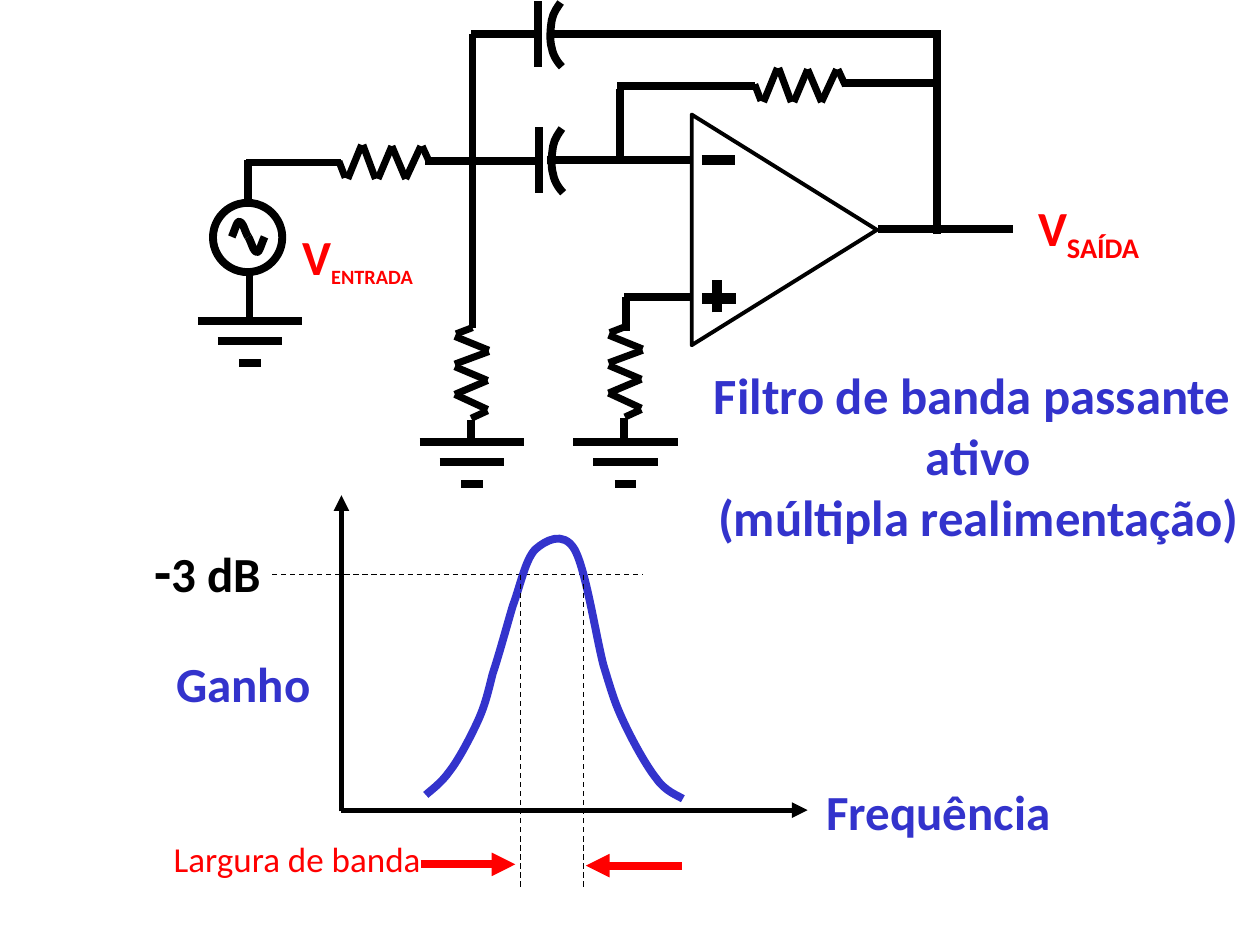
import dataclasses

import lxml.etree
import pptx
import pptx.dml.color
import pptx.enum.dml
import pptx.enum.shapes
import pptx.enum.text
import pptx.oxml.ns
import pptx.util

PX = 9144
qn = pptx.oxml.ns.qn


@dataclasses.dataclass(frozen=True)
class Theme:
    font: str = "Calibri"
    black: str = "000000"
    blue: str = "3333CC"
    red: str = "FF0000"
    sign: int = 32
    title: int = 29
    label: int = 28
    small: int = 20
    wire: float = 4.5
    zigzag: float = 4
    polarity: float = 6
    outline: float = 2.25
    axis: float = 3
    guide: float = 0.75


T = Theme()
ZIGZAG = [((0, 0), (5, 13)), ((7, 14), (18, -13)), ((19, -13), (29, 14)),
          ((31, 14), (42, -12)), ((42, -12), (53, 14)),
          ((53, 14), (65, -12)), ((66, -12), (72, 1))]
PLATE = [(19, 52), (17, 50), (12, 44), (11, 37), (9, 31), (10, 21), (11, 15),
         (12, 9), (16, 4), (18, 1)]
SINE = [(0, 0), (-1, -1), (-3, -7), (-4, -9), (-5, -11), (-6, -12), (-7, -12),
        (-8, -12), (-8, -12), (-9, -10), (-10, -8), (-12, -2), (-13, 0)]
RESPONSE = [(338, 631), (341, 628), (350, 622), (357, 612), (364, 603),
            (373, 586), (379, 573), (385, 560), (387, 551), (391, 535),
            (396, 520), (402, 498), (407, 481), (413, 465), (417, 444),
            (425, 436), (433, 429), (447, 421), (456, 436), (465, 452),
            (473, 505), (479, 528), (486, 551), (488, 558), (495, 573),
            (502, 588), (513, 608), (521, 618), (528, 628), (537, 631),
            (542, 634)]


class Sketch:
    def __init__(self, s, theme):
        self.s = s
        self.theme = theme

    def rgb(self, color):
        return pptx.dml.color.RGBColor.from_string(color)

    def stroke(self, sp, color, width):
        sp.line.color.rgb = self.rgb(color)
        sp.line.width = pptx.util.Pt(width)

    def outline(self, sp, color, width):
        sp.shadow.inherit = False
        sp.fill.background()
        self.stroke(sp, color, width)

    def line(self, x1, y1, x2, y2, width=T.wire, color=T.black, dash=False, arrow=False):
        sp = self.s.shapes.add_connector(
            pptx.enum.shapes.MSO_CONNECTOR.STRAIGHT, x1 * PX, y1 * PX, x2 * PX, y2 * PX)
        self.stroke(sp, color, width)
        if dash:
            sp.line.dash_style = pptx.enum.dml.MSO_LINE.DASH
        spPr = sp._element.spPr
        if arrow:
            lxml.etree.SubElement(spPr.find(qn("a:ln")), qn("a:tailEnd"), type="triangle")
        lxml.etree.SubElement(spPr, qn("a:effectLst"))

    def curve(self, points, color=T.black):
        fb = self.s.shapes.build_freeform(*points[0], scale=PX)
        fb.add_line_segments(points[1:], close=False)
        sp = fb.convert_to_shape()
        self.outline(sp, color, self.theme.wire)
        geometry = next(sp._element.iter(qn("a:path")))
        segments = geometry.findall(qn("a:lnTo"))
        for i in range(0, len(segments), 3):
            bezier = lxml.etree.SubElement(geometry, qn("a:cubicBezTo"))
            for segment in segments[i:i + 3]:
                bezier.append(segment[0])
                geometry.remove(segment)

    def shape(self, kind, x, y, w, h, width, rotation=0):
        sp = self.s.shapes.add_shape(kind, x * PX, y * PX, w * PX, h * PX)
        sp.rotation = rotation
        self.outline(sp, self.theme.black, width)

    def resistor(self, x, y, vertical=False):
        for ends in ZIGZAG:
            (x1, y1), (x2, y2) = [(-b, a) if vertical else (a, b) for a, b in ends]
            self.line(x + x1, y + y1, x + x2, y + y2, self.theme.zigzag)

    def capacitor(self, x, y):
        self.line(x, y + 52, x, y)
        self.curve([(x + dx, y + dy) for dx, dy in PLATE])

    def ground(self, x, y):
        for inset, drop in ((0, 0), (16, 16), (33, 33)):
            self.line(x + inset, y + drop, x + 83 - inset, y + drop)

    def source(self, x, y):
        self.shape(pptx.enum.shapes.MSO_SHAPE.OVAL, x - 28, y - 27, 55, 55, self.theme.wire)
        for sign in (1, -1):
            self.curve([(x + sign * dx, y + sign * dy) for dx, dy in SINE])

    def text(self, x, y, w, h, paragraphs, color, bold=True, center=False):
        tf = self.s.shapes.add_textbox(x * PX, y * PX, w * PX, h * PX).text_frame
        tf.word_wrap = False
        tf.auto_size = pptx.enum.text.MSO_AUTO_SIZE.SHAPE_TO_FIT_TEXT
        for i, runs in enumerate(paragraphs):
            p = tf.add_paragraph() if i else tf.paragraphs[0]
            if center:
                p.alignment = pptx.enum.text.PP_ALIGN.CENTER
            for words, size, *baseline in runs:
                r = p.add_run()
                r.text = words
                r.font.name = self.theme.font
                r.font.size = pptx.util.Pt(size)
                r.font.bold = bold
                r.font.color.rgb = self.rgb(color)
                if baseline:
                    r._r.get_or_add_rPr().set("baseline", str(baseline[0]))


def draw_circuit(k):
    k.shape(pptx.enum.shapes.MSO_SHAPE.ISOSCELES_TRIANGLE, 531, 109, 183, 147, T.outline, 90)
    for ends in ((557, 127, 583, 127), (557, 237, 584, 237), (569, 248, 569, 222)):
        k.line(*ends, T.polarity)
    wires = [
        (697, 182, 804, 182), (549, 236, 495, 236), (549, 127, 434, 127),
        (492, 128, 492, 71), (669, 66, 747, 66), (744, 26, 744, 186),
        (490, 68, 599, 68), (495, 351, 495, 332), (197, 127, 197, 159),
        (198, 253, 198, 216), (497, 263, 497, 236), (271, 129, 195, 129),
        (436, 27, 747, 27), (425, 128, 337, 128), (375, 260, 375, 27),
        (426, 27, 374, 27), (374, 333, 374, 354)]
    for ends in wires:
        k.line(*ends)
    k.resistor(599, 67)
    k.resistor(269, 128)
    k.resistor(497, 259, vertical=True)
    k.resistor(375, 260, vertical=True)
    k.capacitor(428, 101)
    k.capacitor(427, 1)
    k.source(197, 188)
    for x, y in ((157, 255), (455, 351), (333, 351)):
        k.ground(x, y)
    k.text(230, 175, 108, 59, [[("V", T.label), ("ENTRADA", T.small, -25000)]], T.red)
    k.text(814, 152, 101, 63, [[("V", T.label), ("SAÍDA", T.label, -25000)]], T.red)
    title = ["Filtro de banda passante ", "ativo", "(múltipla realimentação)"]
    k.text(556, 284, 441, 155, [[(words, T.title)] for words in title], T.blue, center=True)


def draw_response(k):
    k.line(271, 644, 271, 393, T.axis, arrow=True)
    k.line(271, 643, 641, 643, T.axis, arrow=True)
    k.line(216, 456, 510, 456, T.guide, dash=True)
    k.text(646, 615, 198, 57, [[("Frequência", T.label)]], T.blue)
    k.text(130, 514, 129, 57, [[("Ganho", T.label)]], T.blue)
    k.text(113, 421, 107, 64, [[("-", T.sign), ("3 dB", T.label)]], T.black)
    k.curve(RESPONSE, T.blue)
    for x in (413, 463):
        k.line(x, 456, x, 705, T.guide, dash=True)
    k.text(128, 660, 217, 44, [[("Largura de banda", T.small)]], T.red, bold=False)
    k.line(334, 686, 409, 686, color=T.red, arrow=True)
    k.line(541, 687, 465, 687, color=T.red, arrow=True)


def main():
    prs = pptx.Presentation()
    prs.slide_width, prs.slide_height = 1000 * PX, 750 * PX
    k = Sketch(prs.slides.add_slide(prs.slide_layouts[6]), T)
    draw_circuit(k)
    draw_response(k)
    prs.save("out.pptx")


if __name__ == "__main__":
    main()
